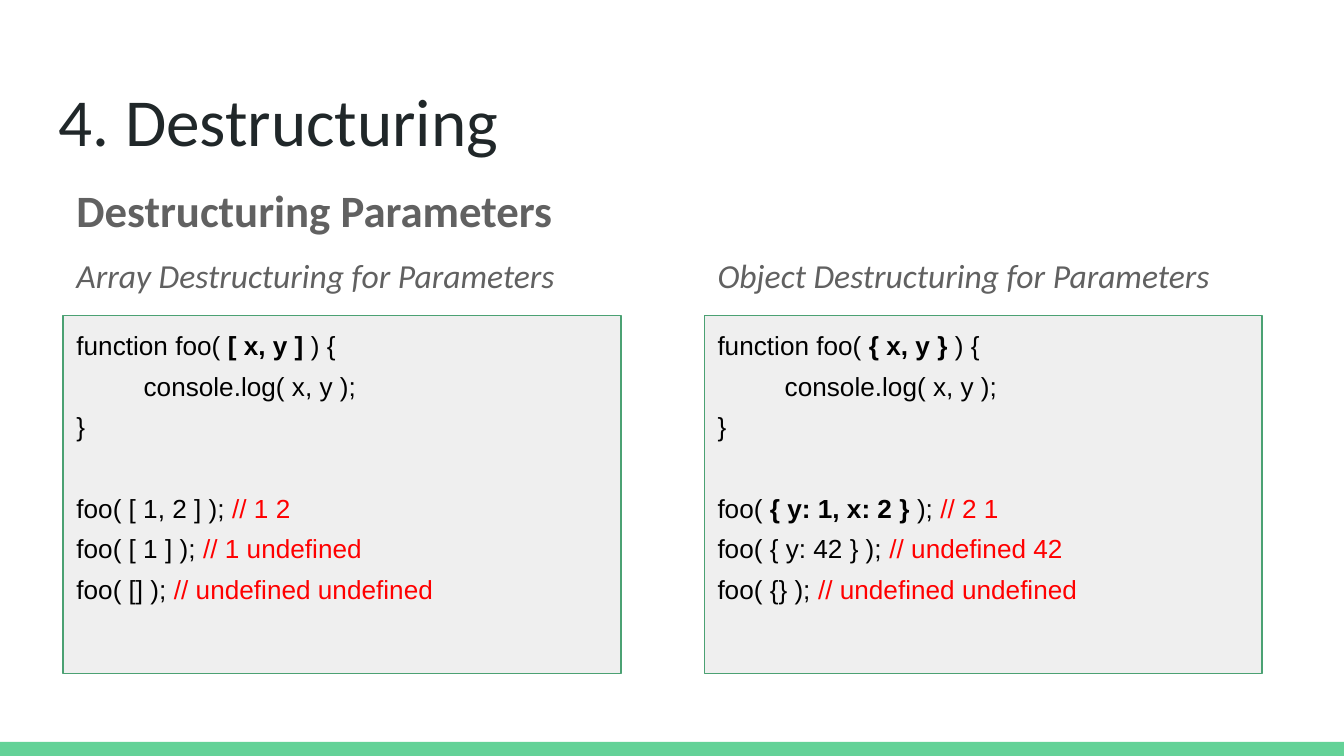
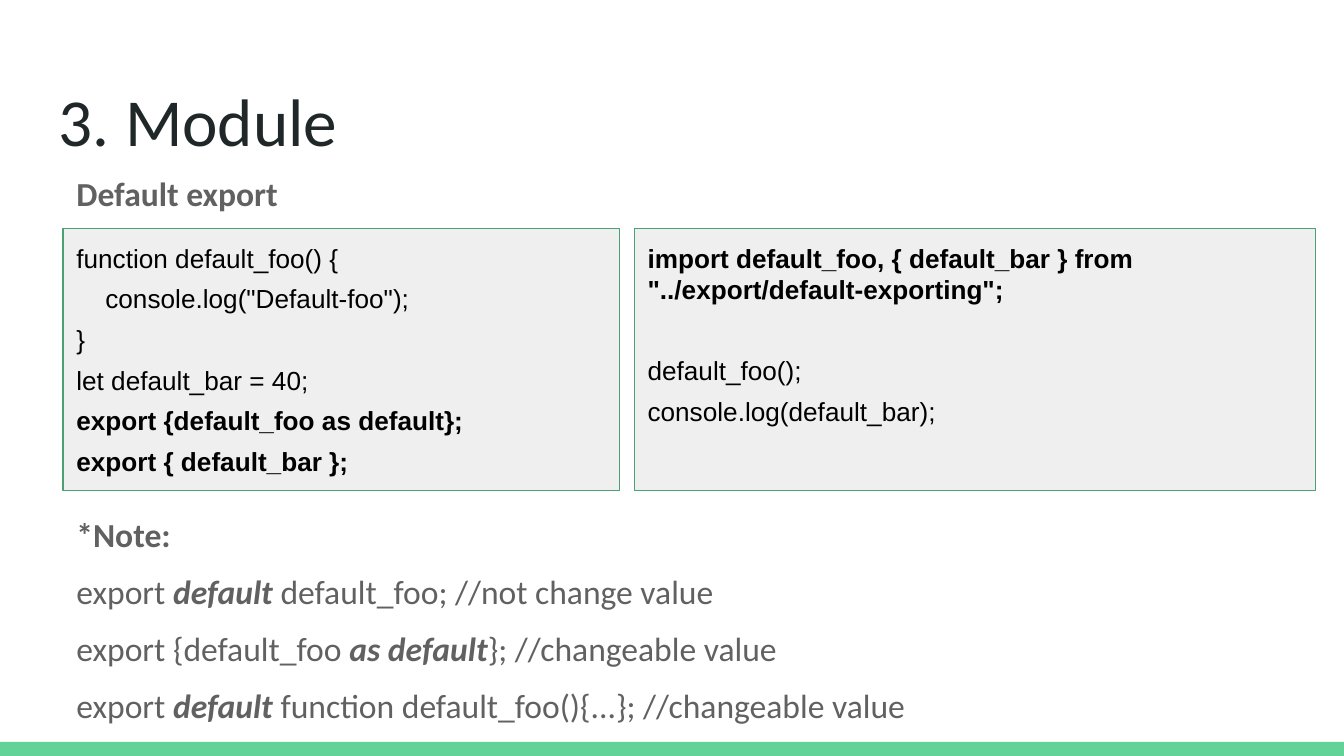
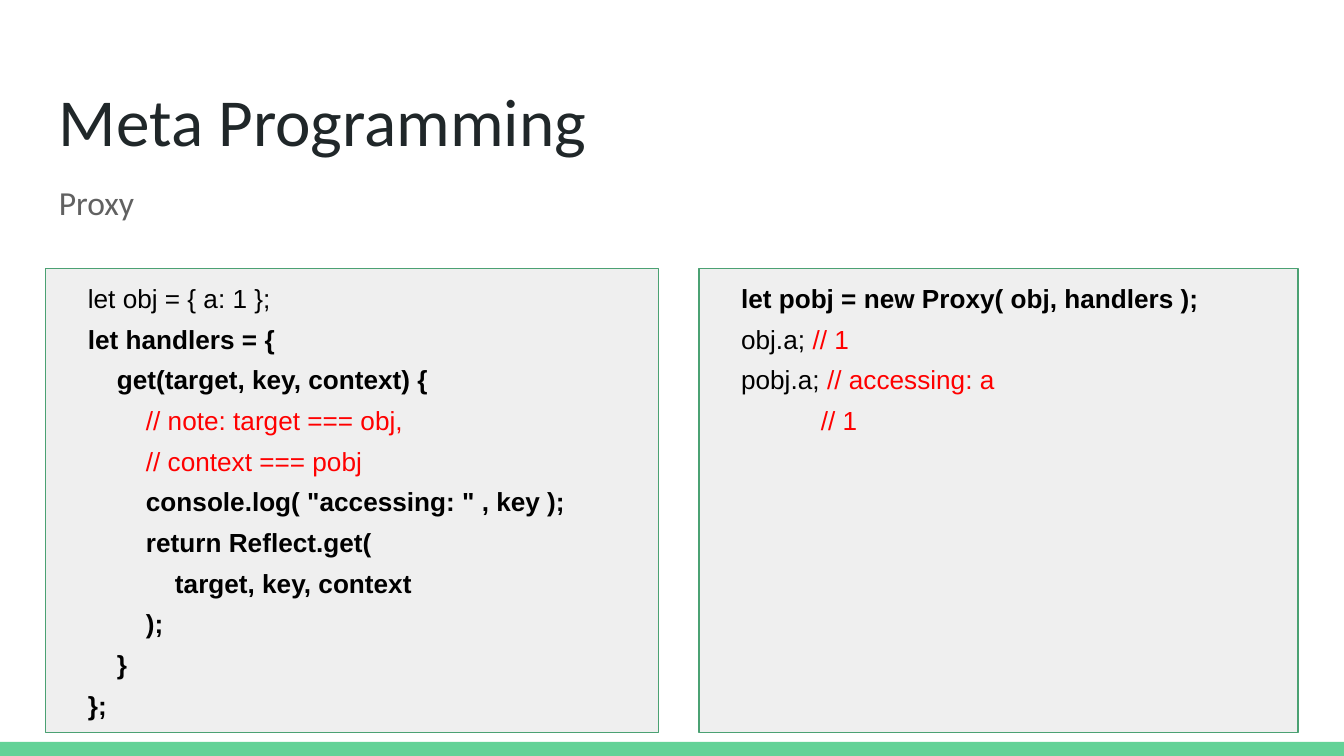
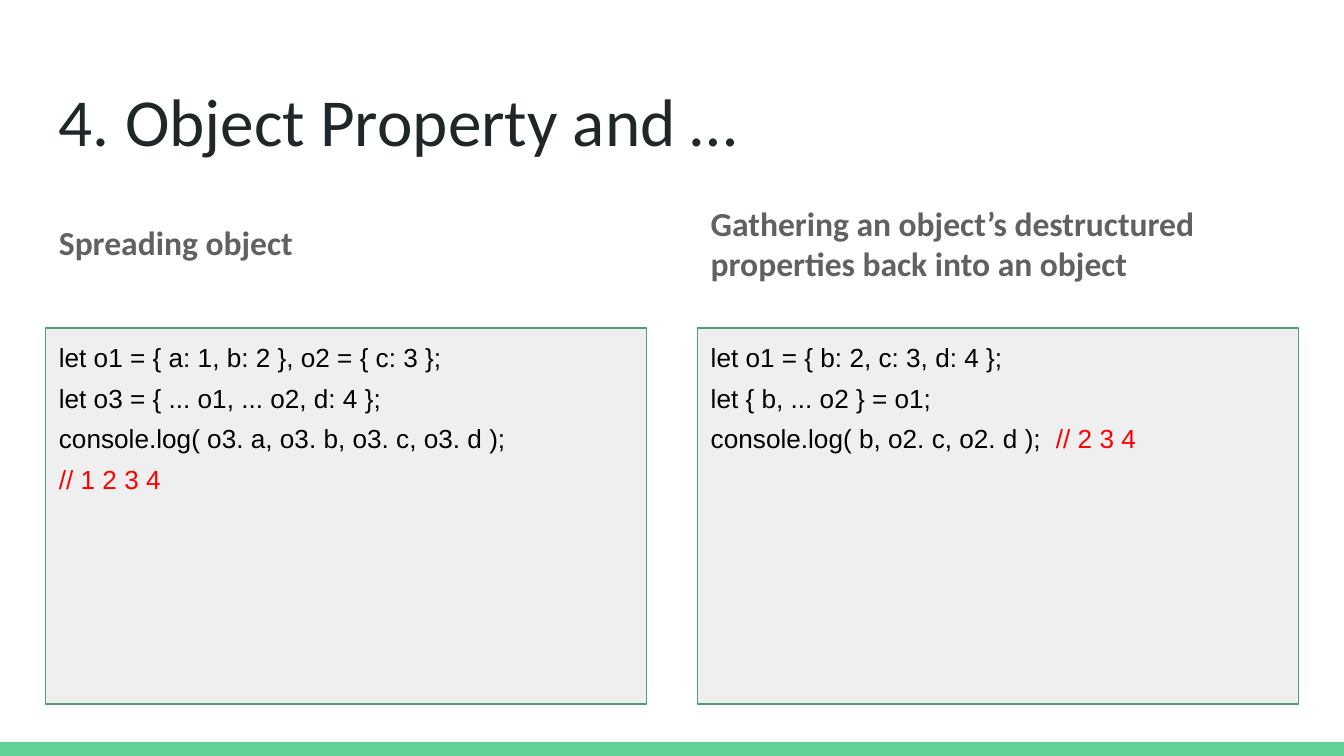
from pptx import Presentation
from pptx.dml.color import RGBColor
from pptx.enum.shapes import MSO_SHAPE
from pptx.enum.text import MSO_ANCHOR, PP_ALIGN
from pptx.util import Inches, Pt

COLORS = {
    "title": "202729",
    "prose": "616161",
    "code": "000000",
    "comment": "FF0000",
    "panel": "EFEFEF",
    "border": "4BA173",
    "band": "63D297",
}
PROSE_FONT, CODE_FONT = "Calibri", "Arial"
BLANK_LINE = ""


def rgb(name):
    """Look up a palette colour."""
    return RGBColor.from_string(COLORS[name])


def add_run(paragraph, text, marks, size, font, color):
    """Add one run; marks may hold b (bold), i (italic) and c (comment)."""
    run = paragraph.add_run()
    run.text = text
    run.font.size = Pt(size)
    run.font.name = font
    run.font.bold = "b" in marks
    run.font.italic = "i" in marks
    run.font.color.rgb = rgb("comment" if "c" in marks else color)


def write_lines(frame, lines, size, font, color, after=0):
    """Fill a frame with lines, each a string or a list of (text, marks)."""
    frame.word_wrap = True
    frame.vertical_anchor = MSO_ANCHOR.TOP
    frame.margin_left = frame.margin_right = Inches(0.1)
    frame.margin_top = frame.margin_bottom = Inches(0.1)
    paragraph, skipped = None, False
    for line in lines:
        if line == BLANK_LINE:
            skipped = True
            continue
        paragraph = frame.add_paragraph() if paragraph else frame.paragraphs[0]
        paragraph.alignment = PP_ALIGN.LEFT
        paragraph.space_after = Pt(after)
        if skipped:
            paragraph.space_before = Pt(size * 1.2 + after)
            skipped = False
        for text, marks in [(line, "")] if isinstance(line, str) else line:
            if text.startswith("\t"):
                text = text[1:]
                paragraph._p.get_or_add_pPr().set("indent", str(Inches(0.5)))
            add_run(paragraph, text, marks, size, font, color)


def add_prose(slide, box, lines, size=18, color="prose", after=0):
    """Add a text box of prose."""
    prose = slide.shapes.add_textbox(*map(Inches, box))
    write_lines(prose.text_frame, lines, size, PROSE_FONT, color, after)


def add_panel(slide, box, fill):
    """Add a flat rectangle without an outline."""
    panel = slide.shapes.add_shape(MSO_SHAPE.RECTANGLE, *map(Inches, box))
    panel.shadow.inherit = False
    panel.fill.solid()
    panel.fill.fore_color.rgb = rgb(fill)
    panel.line.fill.background()
    return panel


def add_code(slide, box, lines):
    """Add a bordered code listing."""
    listing = add_panel(slide, box, "panel")
    listing.line.color.rgb = rgb("border")
    listing.line.width = Pt(0.75)
    write_lines(listing.text_frame, lines, 14, CODE_FONT, "code", after=5)


def add_titled_slide(prs, title, title_height=0.76):
    """Add a blank slide with the bottom band and a title."""
    slide = prs.slides.add_slide(prs.slide_layouts[6])
    add_panel(slide, (0, 5.52, 10, 0.11), "band")
    add_prose(slide, (0.34, 0.49, 9.32, title_height), [title], 36, "title")
    return slide


def build_destructuring(prs):
    """Compare array and object destructuring of parameters."""
    slide = add_titled_slide(prs, "4. Destructuring", 0.63)
    add_prose(slide, (0.47, 1.26, 9.06, 0.53),
              [[("Destructuring Parameters", "b")]], 24)
    columns = [
        (0.47, 4.15, "Array", "[ x, y ]", [
            [("foo( [ 1, 2 ] ); ", ""), ("// 1 2", "c")],
            [("foo( [ 1 ] ); ", ""), ("// 1 undefined", "c")],
            [("foo( [] ); ", ""), ("// undefined undefined", "c")],
        ]),
        (5.24, 4.28, "Object", "{ x, y }", [
            [("foo(", ""), (" { y: 1, x: 2 }", "b"), (" ); ", ""), ("// 2 1", "c")],
            [("foo( { y: 42 } ); ", ""), ("// undefined 42", "c")],
            [("foo( {} ); ", ""), ("// undefined undefined", "c")],
        ]),
    ]
    for left, heading_width, kind, pattern, calls in columns:
        add_prose(slide, (left, 1.8, heading_width, 0.53),
                  [[(f"{kind} Destructuring for Parameters", "i")]])
        add_code(slide, (left, 2.35, 4.15, 2.66), [
            [("function foo( ", ""), (pattern, "b"), (" ) {", "")],
            "\tconsole.log( x, y );",
            "}",
            BLANK_LINE,
            *calls,
        ])


def build_module(prs):
    """Show default export, its import and a note."""
    slide = add_titled_slide(prs, "3. Module")
    add_prose(slide, (0.47, 1.19, 9.32, 0.45), [[("Default export", "b")]], after=9)
    add_code(slide, (0.47, 1.7, 4.14, 1.95), [
        "function default_foo() {",
        '    console.log("Default-foo");',
        "}",
        "let default_bar = 40;",
        [("export {default_foo as default};", "b")],
        [("export { default_bar };", "b")],
    ])
    add_code(slide, (4.72, 1.7, 5.07, 1.95), [
        [('import default_foo, { default_bar } from "../export/default-exporting";', "b")],
        BLANK_LINE,
        "default_foo();",
        "console.log(default_bar);",
    ])
    add_prose(slide, (0.47, 3.72, 9.32, 1.75), [
        [("*Note:", "b")],
        [("export ", ""), ("default ", "bi"), ("default_foo; //not change value", "")],
        [("export {default_foo ", ""), ("as default", "bi"), ("}; //changeable value", "")],
        [("export ", ""), ("default ", "bi"),
         ("function default_foo(){...}; //changeable value", "")],
    ], after=9)


def build_proxy(prs):
    """Show a proxy handler and its use."""
    slide = add_titled_slide(prs, "Meta Programming")
    add_prose(slide, (0.34, 1.25, 4.56, 0.58), ["Proxy"], after=10)
    add_code(slide, (0.34, 2, 4.56, 3.45), [
        "    let obj = { a: 1 };",
        [("    let handlers = {", "b")],
        [("        get(target, key, context) {", "b")],
        [("            // note: target === obj,", "c")],
        [("            // context === pobj", "c")],
        [('            console.log( "accessing: " , key );', "b")],
        [("            return Reflect.get(", "b")],
        [("                target, key, context", "b")],
        [("            );", "b")],
        [("        }", "b")],
        [("    };", "b")],
    ])
    add_code(slide, (5.2, 2, 4.46, 3.45), [
        [("    let pobj = new Proxy( obj, handlers );", "b")],
        [("    obj.a; ", ""), ("// 1", "c")],
        [("    pobj.a; ", ""), ("// accessing: a", "c")],
        [("               // 1", "c")],
    ])


def build_object_property(prs):
    """Compare spreading an object with gathering its properties."""
    slide = add_titled_slide(prs, "4. Object Property and …")
    columns = [
        (0.34, 1.55, "Spreading object", [
            "let o1 = { a: 1, b: 2 }, o2 = { c: 3 };",
            "let o3 = { ... o1, ... o2, d: 4 };",
            "console.log( o3. a, o3. b, o3. c, o3. d );",
            [("// 1 2 3 4", "c")],
        ]),
        (5.19, 1.41, "Gathering an object’s destructured properties back into an object", [
            "let o1 = { b: 2, c: 3, d: 4 };",
            "let { b, ... o2 } = o1;",
            [("console.log( b, o2. c, o2. d );", ""), ("  // 2 3 4", "c")],
        ]),
    ]
    for left, heading_top, heading, code in columns:
        add_prose(slide, (left, heading_top, 4.47, 0.76), [[(heading, "b")]], after=10)
        add_code(slide, (left, 2.44, 4.47, 2.8), code)


def main():
    """Build and save the presentation."""
    prs = Presentation()
    prs.slide_width = Inches(10)
    prs.slide_height = prs.slide_width * 9 // 16
    build_destructuring(prs)
    build_module(prs)
    build_proxy(prs)
    build_object_property(prs)
    prs.save("out.pptx")


if __name__ == "__main__":
    main()
